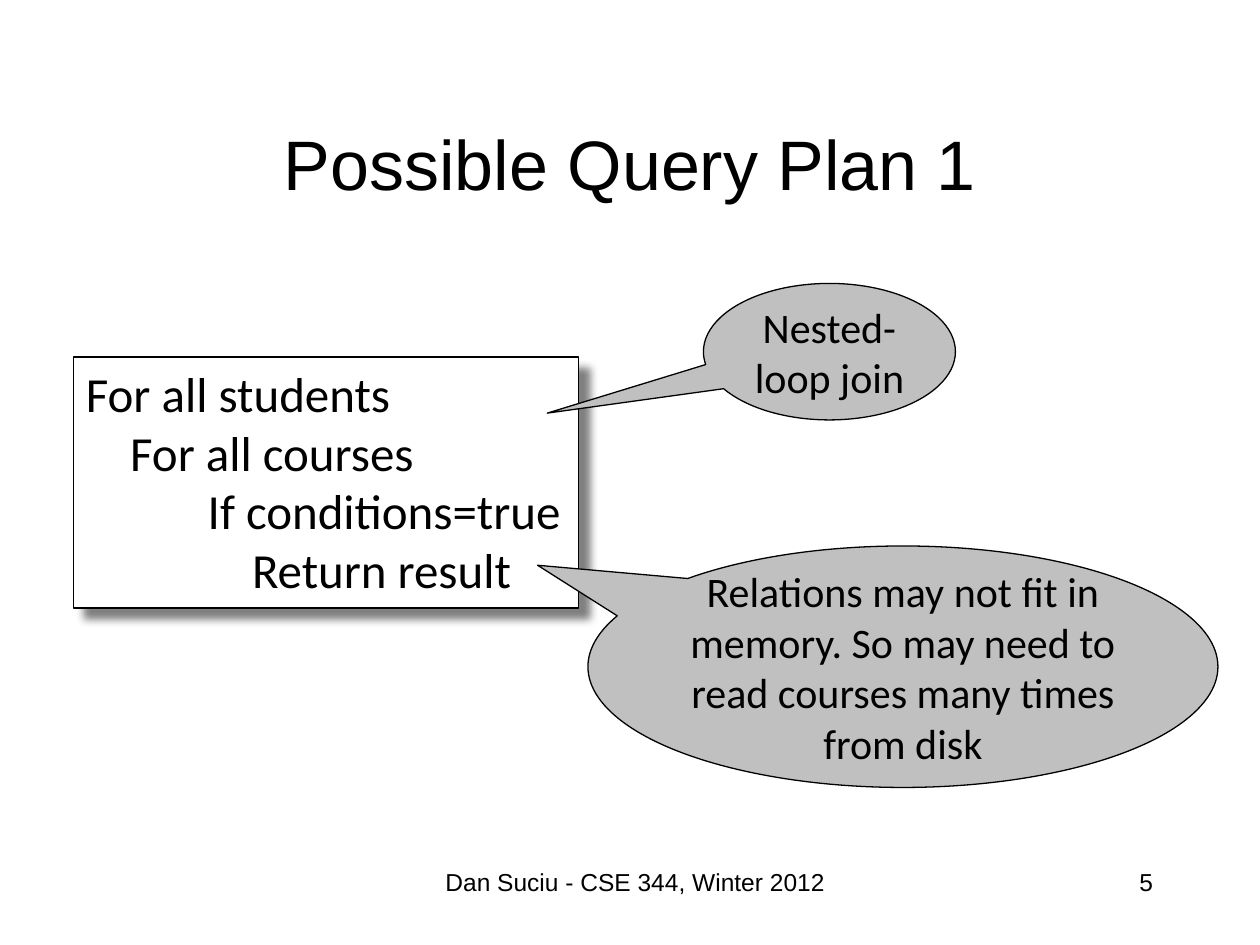
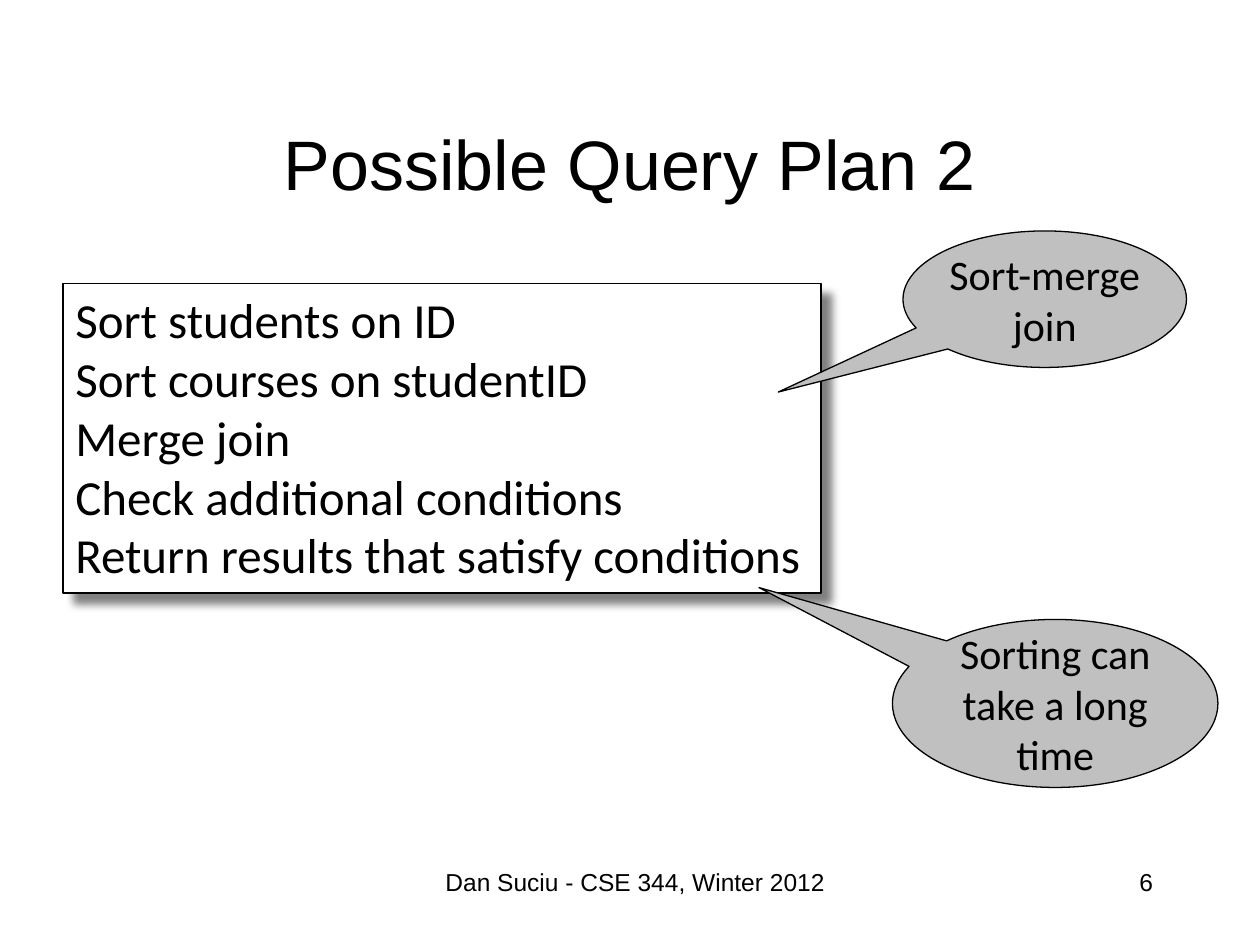
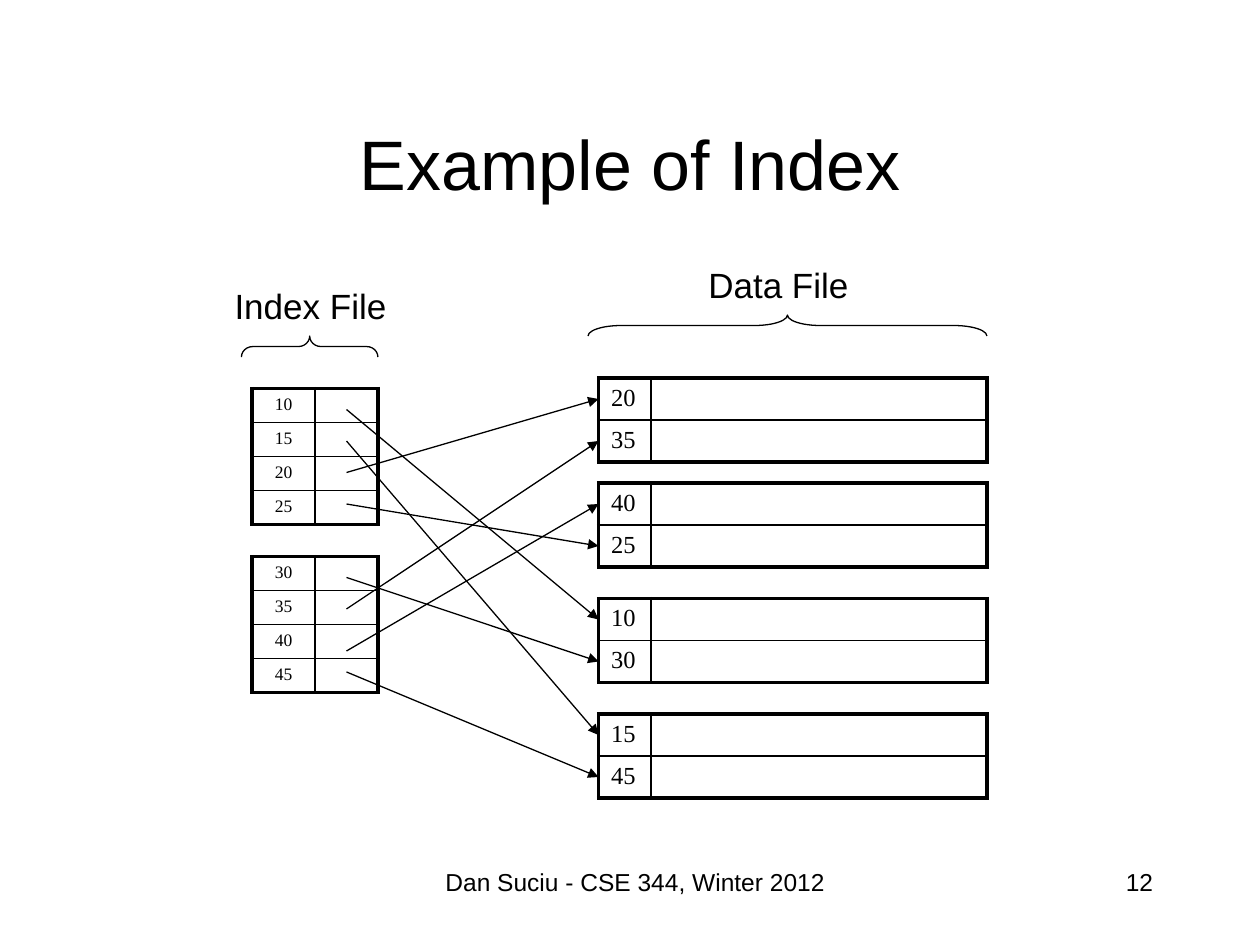
import pptx
import pptx.chart.data
import pptx.dml.color
import pptx.enum.shapes
import pptx.enum.text
import pptx.oxml
import pptx.oxml.ns
import pptx.util

CELL = pptx.util.Inches(1) // 12
BLACK, WHITE, GREY = "000000", "FFFFFF", "C0C0C0"
SHAPE = pptx.enum.shapes.MSO_SHAPE
ALIGN = pptx.enum.text.PP_ALIGN
ANCHOR = pptx.enum.text.MSO_ANCHOR
FIT = pptx.enum.text.MSO_AUTO_SIZE
NS = pptx.oxml.ns.nsdecls("a")


def hue(code):
    return pptx.dml.color.RGBColor.from_string(code)


def write(frame, text, size, font="Arial", align=ALIGN.LEFT, anchor=ANCHOR.TOP,
          wrap=True, inset=None, space=None):
    frame.word_wrap = wrap
    frame.vertical_anchor = anchor
    if inset is not None:
        frame.margin_left = frame.margin_right = inset
        frame.margin_top = frame.margin_bottom = inset
    for i, line in enumerate(text.split("\n")):
        para = frame.add_paragraph() if i else frame.paragraphs[0]
        para.alignment = align
        para.line_spacing = space
        run = para.add_run()
        run.text = line
        run.font.size = pptx.util.Pt(size)
        run.font.name = font
        run.font.color.rgb = hue(BLACK)


deck = pptx.Presentation()
deck.slide_width = 120 * CELL
deck.slide_height = 90 * CELL

pages = [("Possible Query Plan 1", "5"), ("Possible Query Plan 2", "6"),
         ("Example of Index", "12")]
slides = []
for title, number in pages:
    slide = deck.slides.add_slide(deck.slide_layouts[6])
    slides.append(slide)
    for text, area, size, align, anchor in [
        (title, (9, 8, 102, 15), 40, ALIGN.CENTER, ANCHOR.MIDDLE),
        ("Dan Suciu - CSE 344, Winter 2012", (38, 82, 45, 6), 14, ALIGN.CENTER, ANCHOR.TOP),
        (number, (86, 82, 25, 6), 14, ALIGN.RIGHT, ANCHOR.TOP),
    ]:
        box = slide.shapes.add_textbox(*[v * CELL for v in area])
        write(box.text_frame, text, size, align=align, anchor=anchor)

plans = [
    ("For all students\n    For all courses\n           If conditions=true\n"
     "               Return result", (7, 34, 48.1, 23.9), [
        ("Nested-loop join", (67, 27, 24, 13), (-1.12, 0.45)),
        ("Relations may not fit in memory. So may need to read courses many times from disk",
         (56, 52, 60, 23), (-0.58, -0.42))]),
    ("Sort students on ID\nSort courses on studentID\nMerge join\n"
     "Check additional conditions\nReturn results that satisfy conditions",
     (6, 27, 72.2, 29.5), [
        ("Sort-merge join", (86, 22, 27, 13), (-0.94, 0.68)),
        ("Sorting can take a long time", (85, 59, 31, 16), (-0.91, -0.69))]),
]
for slide, (steps, area, notes) in zip(slides, plans):
    box = slide.shapes.add_shape(SHAPE.RECTANGLE, *[int(v * CELL) for v in area])
    box.fill.solid()
    box.fill.fore_color.rgb = hue(WHITE)
    box.line.color.rgb = hue(BLACK)
    box.line.width = pptx.util.Pt(0.75)
    box._element.spPr.append(pptx.oxml.parse_xml(
        f'<a:effectLst {NS}><a:outerShdw blurRad="63500" dist="107950" dir="2700000">'
        '<a:srgbClr val="808080"/></a:outerShdw></a:effectLst>'))
    write(box.text_frame, steps, 28, font="Calibri", wrap=False)
    box.text_frame.auto_size = FIT.SHAPE_TO_FIT_TEXT
    for text, spot, tip in notes:
        note = slide.shapes.add_shape(SHAPE.OVAL_CALLOUT, *[v * CELL for v in spot])
        note.shadow.inherit = False
        note.adjustments[0], note.adjustments[1] = tip
        note.fill.solid()
        note.fill.fore_color.rgb = hue(GREY)
        note.line.color.rgb = hue(BLACK)
        note.line.width = pptx.util.Pt(0.75)
        write(note.text_frame, text, 24, font="Calibri", align=ALIGN.CENTER,
              anchor=ANCHOR.MIDDLE, inset=0)

slide = slides[2]
index = ((6, 6), 0.27, 10, ALIGN.CENTER)
data = ((5, 32), 0.32, 14, ALIGN.LEFT)
blocks = [
    (24, 37, ["10", "15", "20", "25"], index),
    (24, 53, ["30", "35", "40", "45"], index),
    (57, 36, ["20", "35"], data),
    (57, 46, ["40", "25"], data),
    (57, 57, ["10", "30"], data),
    (57, 68, ["15", "45"], data),
]
for left, top, keys, (widths, height, size, align) in blocks:
    high = pptx.util.Inches(height)
    last = len(keys) - 1
    grid = slide.shapes.add_table(len(keys), 2, left * CELL, top * CELL,
                                  sum(widths) * CELL, high * len(keys)).table
    grid.first_row = grid.horz_banding = False
    for col, width in zip(grid.columns, widths):
        col.width = width * CELL
    for r, key in enumerate(keys):
        grid.rows[r].height = high
        for c, text in enumerate((key, "")):
            cell = grid.cell(r, c)
            if text:
                write(cell.text_frame, text, size, font="Times New Roman", align=align)
            else:
                end = cell.text_frame.paragraphs[0]._p.get_or_add_endParaRPr()
                end.set("sz", str(size * 100))
            trim = cell._tc.get_or_add_tcPr()
            edges = {"L": c == 0, "R": c == 1, "T": r == 0, "B": r == last}
            for side, outer in edges.items():
                wide = pptx.util.Pt(2.25 if outer else 1)
                trim.append(pptx.oxml.parse_xml(
                    f'<a:ln{side} {NS} w="{wide}"><a:solidFill><a:srgbClr val="{BLACK}"/>'
                    f'</a:solidFill></a:ln{side}>'))
            cell.fill.background()

links = [(39, 59), (42, 70), (45, 38), (48, 52), (55, 63), (58, 42), (62, 48), (64, 74)]
for start, end in links:
    link = slide.shapes.add_connector(pptx.enum.shapes.MSO_CONNECTOR.STRAIGHT,
                                      33 * CELL, start * CELL, 57 * CELL, end * CELL)
    link.line.color.rgb = hue(BLACK)
    link.line.width = pptx.util.Pt(0.75)
    link.line._get_or_add_ln().append(
        pptx.oxml.parse_xml(f'<a:tailEnd {NS} type="triangle"/>'))
    link._element.spPr.append(pptx.oxml.parse_xml(f'<a:effectLst {NS}/>'))

heads = [("Index File", (21, 27, 17, 5), (28.5, 26.5, 2, 13), 0.54),
         ("Data File", (64, 25, 18, 5), (74, 12, 2, 38), 1.58)]
for text, area, span, bend in heads:
    brace = slide.shapes.add_shape(SHAPE.RIGHT_BRACE, *[int(v * CELL) for v in span])
    brace.shadow.inherit = False
    brace.rotation = 90
    brace._element.spPr.xfrm.set("flipH", "1")
    brace.adjustments[0], brace.adjustments[1] = bend, 0.5
    brace.fill.background()
    brace.line.color.rgb = hue(BLACK)
    brace.line.width = pptx.util.Pt(0.75)
    label = slide.shapes.add_textbox(*[v * CELL for v in area])
    write(label.text_frame, text, 20, align=ALIGN.RIGHT, space=0.9)

deck.save("out.pptx")
